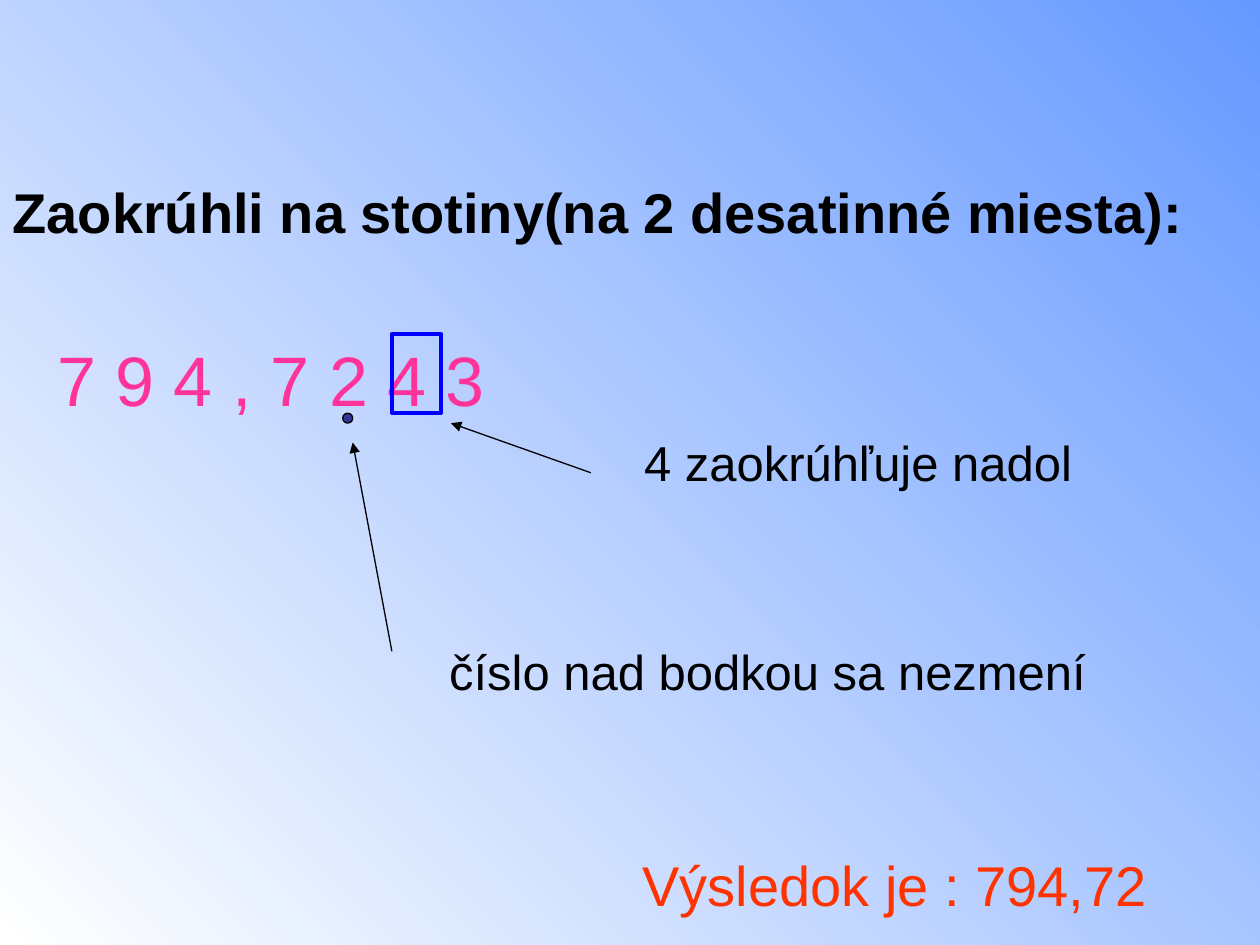
"""Build a slide that explains rounding a decimal number to hundredths."""
import lxml.etree
import pptx
import pptx.dml.color
import pptx.enum.shapes
import pptx.enum.text
import pptx.oxml.ns
import pptx.util

Cm = pptx.util.Cm
Pt = pptx.util.Pt
Color = pptx.dml.color.RGBColor.from_string
Shape = pptx.enum.shapes.MSO_SHAPE

THEME = {
    "font": "Arial",
    "black": "000000", "pink": "FF3399", "red": "FF3300",
    "box": "0000FF", "dot": "333399",
    "background": ("FFFFFF", "6699FF"),
    "heading": 32, "number": 40, "note": 28, "result": 32,
    "thin": 0.75, "thick": 2,
}

HEADING = "Zaokrúhli na stotiny(na 2 desatinné miesta):"
BODY_LINES = [
    ("7 9 4 , 7 2 4 3", "number", "pink", 0.9, 0),
    ("4 zaokrúhľuje nadol", "note", "black", 12.73, 6.6),
    ("číslo nad bodkou sa nezmení", "note", "black", 8.8, 86),
]
RESULT = "Výsledok je : 794,72"

HEADING_BOX = (0, 3.45, 25.4, 1.6)
BODY_BOX = (0, 6.66, 25.4, 9.67)
RESULT_BOX = (12.7, 17.03, 12.7, 1.6)
MARKS = [
    (Shape.OVAL, (6.91, 8.33, 0.2, 0.2), "dot", "black", "thin"),
    (Shape.RECTANGLE, (7.9, 6.73, 0.99, 1.6), None, "box", "thick"),
]
ARROWS = [
    (11.91, 9.53, 9.09, 8.53),
    (7.9, 13.13, 7.11, 8.92),
]


def place(shape, box):
    shape.left, shape.top, shape.width, shape.height = map(Cm, box)


def prepare_text(shape, box):
    place(shape, box)
    frame = shape.text_frame
    frame.word_wrap = True
    frame.auto_size = pptx.enum.text.MSO_AUTO_SIZE.NONE
    frame.vertical_anchor = pptx.enum.text.MSO_ANCHOR.TOP
    return frame


def write(paragraph, text, size, color, indent=0, before=0, bold=False):
    properties = paragraph._p.get_or_add_pPr()
    properties.set("marL", str(Cm(indent)))
    properties.set("indent", "0")
    lxml.etree.SubElement(properties, pptx.oxml.ns.qn("a:buNone"))
    paragraph.text = text
    paragraph.alignment = pptx.enum.text.PP_ALIGN.LEFT
    paragraph.space_before = Pt(before)
    paragraph.font.name = THEME["font"]
    paragraph.font.size = Pt(THEME[size])
    paragraph.font.bold = bold
    paragraph.font.color.rgb = Color(THEME[color])


def set_line(shape, color, width):
    shape.line.color.rgb = Color(THEME[color])
    shape.line.width = Pt(THEME[width])


def add_mark(slide, kind, box, fill, line, width):
    shape = slide.shapes.add_shape(kind, *map(Cm, box))
    shape.shadow.inherit = False
    if fill:
        shape.fill.solid()
        shape.fill.fore_color.rgb = Color(THEME[fill])
    else:
        shape.fill.background()
    set_line(shape, line, width)


def add_arrow(slide, ends):
    arrow = slide.shapes.add_connector(
        pptx.enum.shapes.MSO_CONNECTOR.STRAIGHT, *map(Cm, ends))
    set_line(arrow, "black", "thin")
    qn = pptx.oxml.ns.qn
    lxml.etree.SubElement(arrow.line._get_or_add_ln(), qn("a:tailEnd"), type="triangle")
    lxml.etree.SubElement(arrow._element.spPr, qn("a:effectLst"))


def main():
    presentation = pptx.Presentation()
    presentation.slide_width, presentation.slide_height = Cm(25.4), Cm(19.05)
    slide = presentation.slides.add_slide(presentation.slide_layouts[1])

    background = slide.background.fill
    background.gradient()
    background.gradient_angle = 45
    for stop, color in zip(background.gradient_stops, THEME["background"]):
        stop.color.rgb = Color(color)
    for position, stop in enumerate(background.gradient_stops):
        stop.position = position

    heading = prepare_text(slide.shapes.title, HEADING_BOX)
    write(heading.paragraphs[0], HEADING, "heading", "black", bold=True)

    body = prepare_text(slide.placeholders[1], BODY_BOX)
    for index, (text, size, color, indent, before) in enumerate(BODY_LINES):
        paragraph = body.add_paragraph() if index else body.paragraphs[0]
        write(paragraph, text, size, color, indent, before)

    for mark in MARKS:
        add_mark(slide, *mark)
    for ends in ARROWS:
        add_arrow(slide, ends)

    result = prepare_text(slide.shapes.add_textbox(0, 0, 0, 0), RESULT_BOX)
    write(result.paragraphs[0], RESULT, "result", "red")

    presentation.save("out.pptx")


if __name__ == "__main__":
    main()
